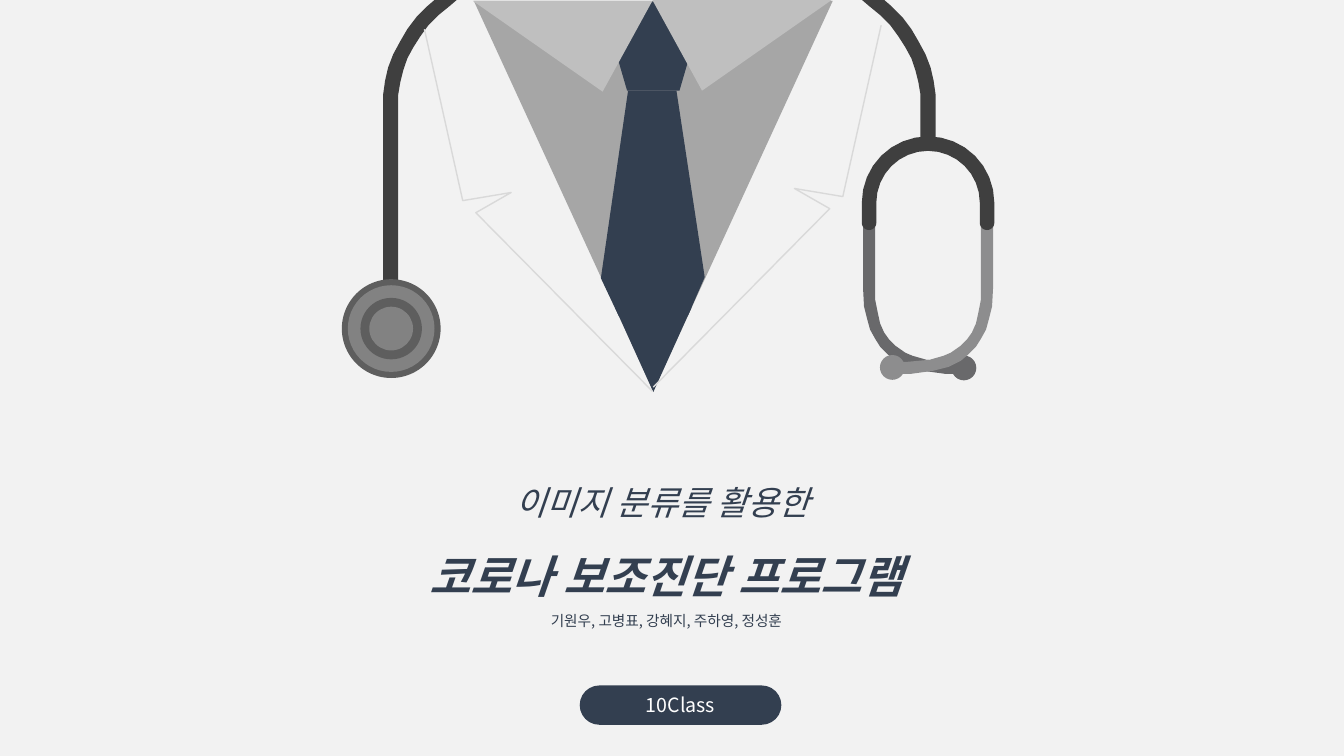
"""Build the cover slide with a doctor's coat and stethoscope."""
import math
from dataclasses import dataclass

import pptx
import pptx.dml.color
import pptx.enum.shapes
import pptx.enum.text
import pptx.oxml.ns
import pptx.util

Inches = pptx.util.Inches
MSO = pptx.enum.shapes.MSO_SHAPE
CENTER = pptx.enum.text.PP_ALIGN.CENTER


@dataclass(frozen=True)
class Theme:
    """Colours, font and type sizes of the slide."""
    font: str = "Noto Sans CJK KR"
    back: str = "F2F2F2"
    navy: str = "333F50"
    white: str = "FFFFFF"
    shirt: str = "A6A6A6"
    collar: str = "BFBFBF"
    seam: str = "D9D9D9"
    tube: str = "3F3F3F"
    rim: str = "5E5E5E"
    plate: str = "828282"
    dark_wire: str = "69696B"
    light_wire: str = "8D8D8E"
    lead: float = 24
    title: float = 32
    names: float = 10.5
    badge: float = 14


THEME = Theme()

TUBE_OUTER = [(4.31, 0), (4.24, 0.06), (4.13, 0.17), (4.04, 0.29), (3.97, 0.41),
              (3.9, 0.54), (3.85, 0.67), (3.82, 0.8), (3.8, 0.94)]
TUBE_INNER = [(3.95, 0.94), (3.97, 0.82), (4, 0.7), (4.04, 0.58), (4.1, 0.47),
              (4.17, 0.36), (4.25, 0.25), (4.35, 0.15), (4.46, 0.06), (4.53, 0)]
WIRE = [(9.56, 3.71), (9.38, 3.71), (9.16, 3.68), (9, 3.64), (8.88, 3.58),
        (8.81, 3.52), (8.73, 3.44), (8.68, 3.36), (8.63, 3.27), (8.6, 3.16),
        (8.57, 3.04), (8.56, 2.85), (8.56, 2.21), (8.68, 2.21), (8.68, 2.97),
        (8.71, 3.12), (8.73, 3.21), (8.77, 3.3), (8.82, 3.37), (8.88, 3.43),
        (8.98, 3.5), (9.05, 3.53), (9.19, 3.57), (9.41, 3.59), (9.56, 3.59)]
TIE = [(6.23, 0.9), (6.71, 0.9), (6.99, 2.75), (6.82, 3.14), (6.14, 3.14), (5.96, 2.76)]
LAPEL = [(4.21, 0.29), (4.59, 1.99), (5.07, 1.91), (4.72, 2.11), (6.47, 3.88)]


def rgb(value):
    """Return a colour from its hex value."""
    return pptx.dml.color.RGBColor.from_string(value)


def mirror(points, axis, dy=0):
    """Reflect points about a vertical axis and move them down by dy."""
    return [(2 * axis - x, y + dy) for x, y in points]


def arc(cx, cy, radius, start, end, steps=16):
    """Return points along an arc, with angles in degrees."""
    angles = [math.radians(start + (end - start) * i / steps) for i in range(steps + 1)]
    return [(cx + radius * math.cos(a), cy + radius * math.sin(a)) for a in angles]


def paint(s, color):
    """Give a shape a plain fill without line or shadow."""
    s.shadow.inherit = False
    s.fill.solid()
    s.fill.fore_color.rgb = rgb(color)
    s.line.fill.background()


def add_preset(shapes, kind, box, color, flips=(), adj=None):
    """Add a filled preset shape, flipped on request."""
    s = shapes.add_shape(kind, *map(Inches, box))
    paint(s, color)
    for flip in flips:
        s.element.spPr.xfrm.set(flip, "1")
    if adj is not None:
        s.adjustments[0] = adj
    return s


def add_disc(shapes, cx, cy, radius, color):
    """Add a filled circle by its centre."""
    add_preset(shapes, MSO.OVAL, (cx - radius, cy - radius, 2 * radius, 2 * radius), color)


def add_outline(shapes, points, close):
    """Add a freeform through the points."""
    start, *rest = [(Inches(x), Inches(y)) for x, y in points]
    builder = shapes.build_freeform(*start)
    builder.add_line_segments(rest, close=close)
    return builder.convert_to_shape()


def add_polygon(shapes, points, color):
    """Add a filled outline."""
    paint(add_outline(shapes, points, True), color)


def add_seam(shapes, points):
    """Add an open thin line."""
    s = add_outline(shapes, points, False)
    s.shadow.inherit = False
    s.fill.background()
    s.line.color.rgb = rgb(THEME.seam)
    s.line.width = pptx.util.Pt(1)


def write(p, text, size, color, **formats):
    """Write one centred run into a paragraph."""
    p.alignment = CENTER
    r = p.add_run()
    r.text = text
    formats = {"name": THEME.font, "size": pptx.util.Pt(size), "bold": False, "italic": False} | formats
    for name, value in formats.items():
        setattr(r.font, name, value)
    r.font.color.rgb = rgb(color)
    ea = r.font._element.makeelement(pptx.oxml.ns.qn("a:ea"), {"typeface": THEME.font})
    r.font._element.find(pptx.oxml.ns.qn("a:latin")).addnext(ea)


def draw_shirt(shapes):
    """Draw the shirt, the tie and the left collar wing."""
    add_preset(shapes, MSO.ISOSCELES_TRIANGLE, (4.7, 0.01, 3.56, 3.87), THEME.shirt, ["flipV"])
    add_preset(shapes, MSO.REGULAR_PENTAGON, (6.06, 0.01, 0.84, 0.89), THEME.navy)
    add_polygon(shapes, TIE, THEME.navy)
    add_preset(shapes, MSO.ISOSCELES_TRIANGLE, (4.69, 0.01, 1.78, 0.9), THEME.collar, ["flipV"], 0.723)


def draw_stethoscope(shapes):
    """Draw the tubes, the chest piece and the ear pieces."""
    for end, axis in ((3.51, None), (1.47, 6.54)):
        points = TUBE_OUTER + [(3.8, end), (3.95, end)] + TUBE_INNER
        add_polygon(shapes, mirror(points, axis) if axis else points, THEME.tube)
    for radius, color in ((0.49, THEME.rim), (0.43, THEME.plate), (0.305, THEME.rim), (0.217, THEME.plate)):
        add_disc(shapes, 3.88, 3.26, radius, color)
    axis = 9.205
    add_polygon(shapes, WIRE, THEME.dark_wire)
    add_disc(shapes, 9.56, 3.65, 0.123, THEME.dark_wire)
    add_polygon(shapes, mirror(WIRE, axis), THEME.light_wire)
    add_disc(shapes, 8.85, 3.645, 0.123, THEME.light_wire)
    outer, inner = 0.657, 0.513
    middle, cap = (outer + inner) / 2, (outer - inner) / 2
    arch = (arc(axis, 2.01, outer, 180, 360) + arc(axis + middle, 2.21, cap, 0, 180)
            + arc(axis, 2.01, inner, 360, 180) + arc(axis - middle, 2.21, cap, 0, 180))
    add_polygon(shapes, arch, THEME.tube)


def draw_coat(shapes):
    """Draw the right collar wing, the tie tip and the lapels."""
    add_preset(shapes, MSO.ISOSCELES_TRIANGLE, (6.47, 0, 1.78, 0.9), THEME.collar, ["flipH", "flipV"], 0.723)
    add_preset(shapes, MSO.ISOSCELES_TRIANGLE, (6.1, 3.05, 0.76, 0.84), THEME.navy, ["flipV"])
    add_seam(shapes, LAPEL)
    add_seam(shapes, mirror(LAPEL, 6.475, -0.04))


def fill_title(s):
    """Place the title and write its three lines."""
    s.left, s.top, s.width, s.height = map(Inches, (3.26, 4.53, 6.7, 1.75))
    tf = s.text_frame
    tf.word_wrap = True
    tf.auto_size = pptx.enum.text.MSO_AUTO_SIZE.SHAPE_TO_FIT_TEXT
    tf.vertical_anchor = pptx.enum.text.MSO_ANCHOR.TOP
    lines = [("이미지 분류를 활용한 ", THEME.lead, {"italic": True}),
             ("코로나 보조진단 프로그램", THEME.title, {"italic": True, "bold": True}),
             ("기원우, 고병표, 강혜지, 주하영, 정성훈", THEME.names, {})]
    for i, (text, size, formats) in enumerate(lines):
        p = tf.add_paragraph() if i else tf.paragraphs[0]
        p.line_spacing = 1.5
        write(p, text, size, THEME.navy, **formats)


def main():
    """Build and save the slide."""
    prs = pptx.Presentation()
    prs.slide_width, prs.slide_height = Inches(13.33), Inches(7.5)
    slide = prs.slides.add_slide(prs.slide_layouts[5])
    slide.background.fill.solid()
    slide.background.fill.fore_color.rgb = rgb(THEME.back)
    shapes = slide.shapes.add_group_shape().shapes
    draw_shirt(shapes)
    draw_stethoscope(shapes)
    draw_coat(shapes)
    fill_title(slide.shapes.title)
    badge = add_preset(slide.shapes, MSO.ROUNDED_RECTANGLE, (5.75, 6.8, 2, 0.39), THEME.navy, adj=0.5)
    badge.text_frame.vertical_anchor = pptx.enum.text.MSO_ANCHOR.MIDDLE
    write(badge.text_frame.paragraphs[0], "10Class", THEME.badge, THEME.white)
    prs.save("out.pptx")


if __name__ == "__main__":
    main()
